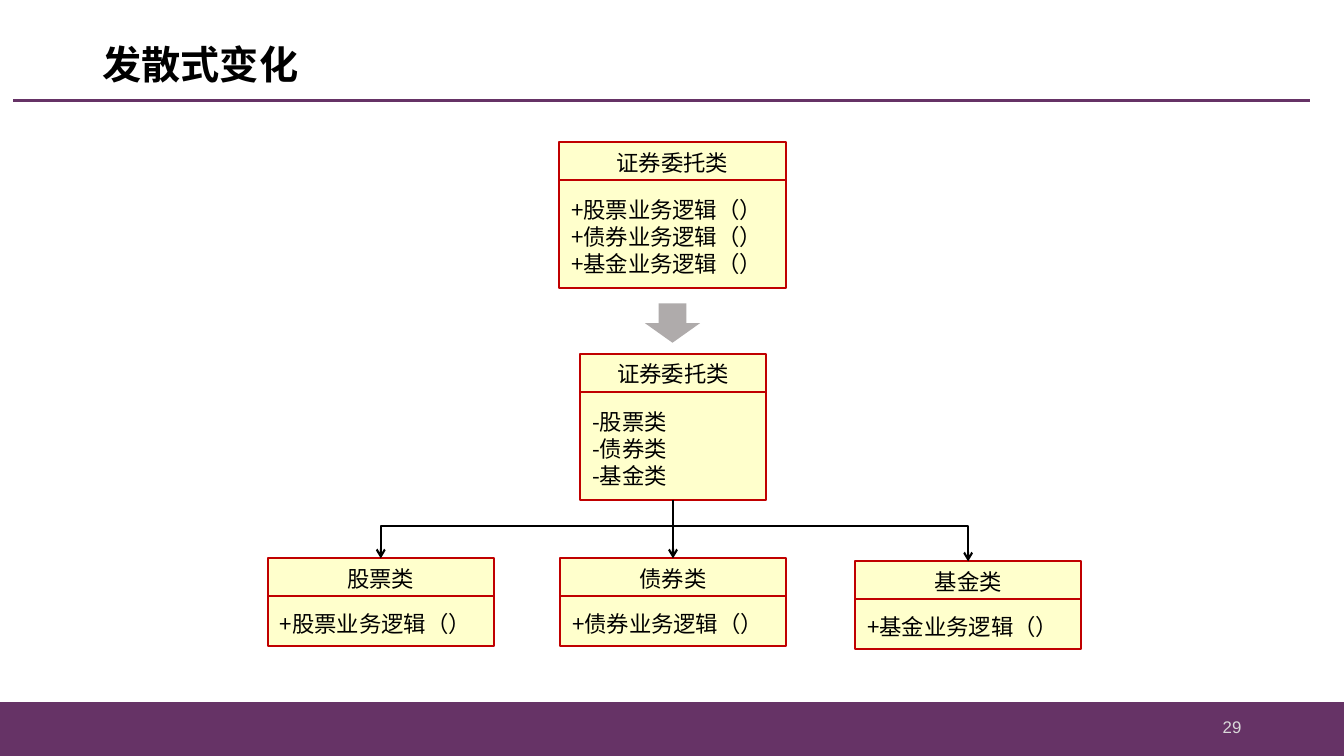
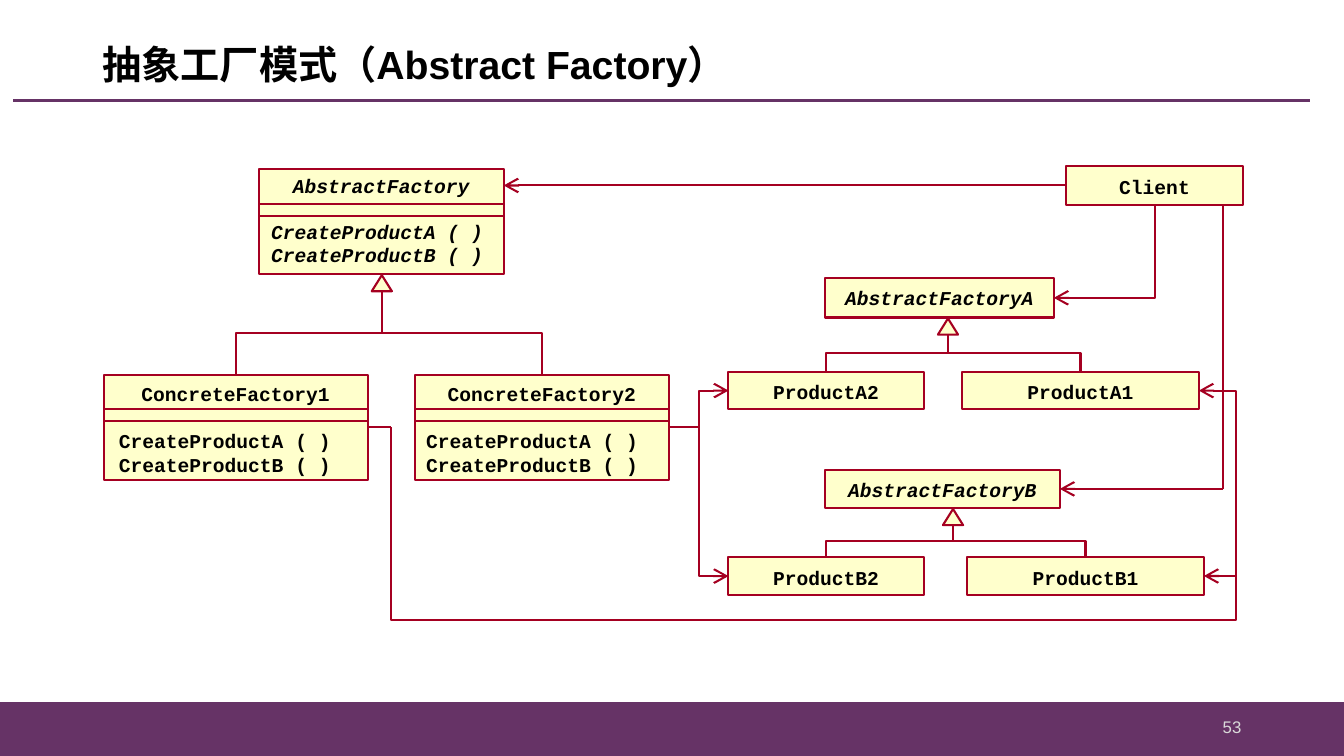
import pptx
import pptx.dml.color
import pptx.enum.shapes
import pptx.enum.text
import pptx.oxml
import pptx.oxml.ns
import pptx.util

RGBColor = pptx.dml.color.RGBColor
PURPLE = RGBColor(0x66, 0x33, 0x66)
CREAM = RGBColor(0xFF, 0xFF, 0xCC)
RED = RGBColor(0xC0, 0x00, 0x00)
CRIMSON = RGBColor(0xA5, 0x00, 0x21)
BLACK = RGBColor(0x00, 0x00, 0x00)
GREY = RGBColor(0xAF, 0xAB, 0xAB)
PALE = RGBColor(0xD9, 0xD9, 0xD9)

COLUMN = ROW = pptx.util.Inches(1)
COLUMNS, ROWS = 13.34, 7.5
KINDS = pptx.enum.shapes.MSO_SHAPE
CONNECTORS = pptx.enum.shapes.MSO_CONNECTOR
ALIGN = pptx.enum.text.PP_ALIGN
ANCHOR = pptx.enum.text.MSO_ANCHOR
TOP, LEFT, BOTTOM, RIGHT = range(4)
NAMESPACE = pptx.oxml.ns.nsdecls("a")

CHINESE = "Noto Sans CJK SC"
TITLE = {"name": "Arial", "size": pptx.util.Pt(28), "bold": True}
NUMBER = {"name": "Arial", "size": pptx.util.Pt(12)}
CARD = {"name": CHINESE, "size": pptx.util.Pt(16)}
CARD_SPACING = pptx.util.Pt(19.3)
CODE = {"name": "Courier New", "size": pptx.util.Pt(14), "bold": True}
INSETS = (0.1, 0.05, 0.1, 0.05)


def set_format(target, values):
    for name, value in values.items():
        setattr(target, name, value)


def place(left, top, width, height):
    return [round(left * COLUMN), round(top * ROW), round(width * COLUMN), round(height * ROW)]


def middle(shape, side):
    x = shape.left + shape.width * {LEFT: 0, RIGHT: 1}.get(side, 0.5)
    y = shape.top + shape.height * {TOP: 0, BOTTOM: 1}.get(side, 0.5)
    return x / COLUMN, y / ROW


def add_shape(page, kind, at, fill, line=None, weight=1.5):
    shape = page.shapes.add_shape(kind, *place(*at))
    shape.shadow.inherit = False
    shape.fill.solid()
    shape.fill.fore_color.rgb = fill
    if line is None:
        shape.line.fill.background()
    else:
        shape.line.color.rgb = line
        shape.line.width = pptx.util.Pt(weight)
    return shape


def write(shape, lines, font, align=ALIGN.LEFT, anchor=ANCHOR.MIDDLE, spacing=1.0,
          color=BLACK, insets=INSETS):
    frame = shape.text_frame
    sides = ("margin_left", "margin_top", "margin_right", "margin_bottom")
    set_format(frame, {side: pptx.util.Inches(inset) for side, inset in zip(sides, insets)})
    set_format(frame, {"word_wrap": True, "vertical_anchor": anchor})
    for index, line in enumerate(lines):
        para = frame.add_paragraph() if index else frame.paragraphs[0]
        set_format(para, {"alignment": align, "line_spacing": spacing})
        span = para.add_run()
        span.text = line
        set_format(span.font, font)
        span.font.color.rgb = color
        span.font._element.append(
            pptx.oxml.parse_xml(f'<a:ea {NAMESPACE} typeface="{CHINESE}"/>'))


def add_text(page, at, lines, font, **options):
    write(page.shapes.add_textbox(*place(*at)), lines, font, **options)


def finish_line(line, color, weight, head, tail):
    line.line.color.rgb = color
    line.line.width = pptx.util.Pt(weight)
    for tag, size in (("headEnd", head), ("tailEnd", tail)):
        if size:
            line.line._get_or_add_ln().append(pptx.oxml.parse_xml(
                f'<a:{tag} {NAMESPACE} type="arrow" w="{size}" len="{size}"/>'))
    line._element.spPr.append(pptx.oxml.parse_xml(f"<a:effectLst {NAMESPACE}/>"))


def add_line(page, start, end, color, weight=1.5, tail=None):
    ends = [middle(*point) if hasattr(point[0], "shape_id") else point for point in (start, end)]
    coordinates = [round(value * COLUMN) for point in ends for value in point]
    line = page.shapes.add_connector(CONNECTORS.STRAIGHT, *coordinates)
    for point, join in ((start, line.begin_connect), (end, line.end_connect)):
        if hasattr(point[0], "shape_id"):
            join(*point)
    finish_line(line, color, weight, None, tail)


def add_elbow(page, start, end, color, turns=(0.5,), vertical=True, head=None, tail=None):
    (x1, y1), (x2, y2) = start, end
    across, down = (y2 - y1, x1 - x2) if vertical else (x2 - x1, y2 - y1)
    x, y = (x1 + x2) / 2, (y1 + y2) / 2
    line = page.shapes.add_connector(
        CONNECTORS.ELBOW,
        *place(x - across / 2, y - down / 2, x + across / 2, y + down / 2))
    properties = line._element.spPr
    if vertical:
        properties.find(pptx.oxml.ns.qn("a:xfrm")).set("rot", str(90 * 60000))
    geometry = properties.find(pptx.oxml.ns.qn("a:prstGeom"))
    geometry.set("prst", f"bentConnector{len(turns) + 2}")
    guides = geometry.find(pptx.oxml.ns.qn("a:avLst"))
    for number, turn in enumerate(turns, 1):
        guides.append(pptx.oxml.parse_xml(
            f'<a:gd {NAMESPACE} name="adj{number}" fmla="val {round(turn * 100000)}"/>'))
    finish_line(line, color, 1.5, head, tail)


def start_page(deck, title, number):
    page = deck.slides.add_slide(deck.slide_layouts[6])
    add_shape(page, KINDS.RECTANGLE, (0, 6.97, COLUMNS, ROWS - 6.97), PURPLE, PURPLE, 1)
    add_line(page, (0.13, 1), (13, 1), PURPLE, 2.25)
    add_text(page, (0.92, 0.3, 11.5, 0.73), [title], TITLE, spacing=0.9)
    add_text(page, (9.42, 7.01, 3, 0.4), [number], NUMBER, align=ALIGN.RIGHT, color=PALE)
    return page


def add_card(page, at, name, members):
    left, top, width, height = at
    header = 0.375
    box = add_shape(page, KINDS.RECTANGLE, at, CREAM, RED)
    add_line(page, (left, top + header), (left + width, top + header), RED)
    add_text(page, (left, top, width, 0.4), [name], CARD, align=ALIGN.CENTER,
             spacing=CARD_SPACING)
    add_text(page, (left + 0.02, top + 0.41, width, height - 0.4), members, CARD,
             spacing=CARD_SPACING)
    return box


def add_class(page, at, name, abstract=False, anchor=ANCHOR.MIDDLE, spacing=1.1):
    box = add_shape(page, KINDS.RECTANGLE, at, CREAM, CRIMSON)
    write(box, [name], {**CODE, "italic": abstract}, align=ALIGN.CENTER, anchor=anchor,
          spacing=spacing)
    return box


def add_factory(page, at, name, indent, drop, abstract=False, spacing=1.1):
    left, top, width, height = at
    box = add_class(page, at, name, abstract, ANCHOR.TOP, spacing)
    for level in (top + 0.34, top + 0.46):
        add_line(page, (left, level), (left + width, level), CRIMSON)
    add_text(page, (left + indent, top + drop, width - indent, 0.46),
             ["CreateProductA ( )", "CreateProductB ( )"], {**CODE, "italic": abstract},
             anchor=ANCHOR.TOP, insets=(0, 0.01, 0, 0.05))
    return box


def add_inheritance(page, parent, center, children):
    top = middle(parent, BOTTOM)[1] + 0.01
    add_shape(page, KINDS.ISOSCELES_TRIANGLE, (center - 0.1, top, 0.2, 0.16), CREAM, CRIMSON)
    for child in children:
        add_elbow(page, (center, top + 0.16), middle(child, TOP), CRIMSON)


def build_divergent_change(deck):
    page = start_page(deck, "发散式变化", "29")
    add_card(page, (5.55, 1.41, 2.25, 1.45), "证券委托类",
             ["+股票业务逻辑（）", "+债券业务逻辑（）", "+基金业务逻辑（）"])
    add_shape(page, KINDS.DOWN_ARROW, (6.4, 3.01, 0.55, 0.39), GREY)
    order = add_card(page, (5.76, 3.51, 1.84, 1.45), "证券委托类",
                     ["-股票类", "-债券类", "-基金类"])
    stock, bond, fund = [
        add_card(page, (left, top, 2.24, 0.87), f"{kind}类", [f"+{kind}业务逻辑（）"])
        for kind, left, top in (("股票", 2.66, 5.54), ("债券", 5.56, 5.54), ("基金", 8.49, 5.57))]
    start, end = middle(stock, TOP), middle(fund, TOP)
    add_elbow(page, start, end, BLACK, [(5.22 - start[1]) / (end[1] - start[1])],
              head="med", tail="med")
    add_line(page, (order, BOTTOM), (bond, TOP), BLACK, tail="med")


def build_abstract_factory(deck):
    page = start_page(deck, "抽象工厂模式（Abstract Factory）", "53")
    factory = add_factory(page, (2.57, 1.68, 2.43, 1.04), "AbstractFactory", 0.12, 0.49,
                          abstract=True, spacing=1.0)
    factory1 = add_factory(page, (1.03, 3.72, 2.62, 1.04), "ConcreteFactory1", 0.15, 0.53)
    factory2 = add_factory(page, (4.12, 3.72, 2.52, 1.04), "ConcreteFactory2", 0.11, 0.53)
    abstract_a = add_class(page, (8.19, 2.76, 2.27, 0.39), "AbstractFactoryA", True, spacing=1.0)
    abstract_b = add_class(page, (8.19, 4.66, 2.33, 0.38), "AbstractFactoryB", True)
    product_a2 = add_class(page, (7.23, 3.69, 1.94, 0.37), "ProductA2")
    product_a1 = add_class(page, (9.55, 3.69, 2.35, 0.37), "ProductA1")
    product_b2 = add_class(page, (7.23, 5.53, 1.94, 0.37), "ProductB2")
    product_b1 = add_class(page, (9.6, 5.53, 2.35, 0.37), "ProductB1")
    client = add_class(page, (10.58, 1.65, 1.76, 0.38), "Client")

    add_inheritance(page, factory, 3.79, (factory1, factory2))
    add_inheritance(page, abstract_a, 9.41, (product_a2, product_a1))
    add_inheritance(page, abstract_b, 9.46, (product_b2, product_b1))

    client_lane, client_bottom = 12.14, middle(client, BOTTOM)[1]
    level_b = middle(abstract_b, RIGHT)[1]
    add_line(page, (client, LEFT), (5, middle(client, LEFT)[1]), CRIMSON, tail="lg")
    add_elbow(page, middle(client, BOTTOM), middle(abstract_a, RIGHT), CRIMSON, (), tail="lg")
    add_line(page, (client_lane, client_bottom), (client_lane, level_b), CRIMSON)
    add_line(page, (client_lane, level_b), (abstract_b, RIGHT), CRIMSON, tail="lg")

    for product in (product_a2, product_b2):
        add_elbow(page, middle(factory2, RIGHT), middle(product, LEFT), CRIMSON,
                  vertical=False, tail="lg")

    lane, right_lane, base, lower_lane = 3.88, 12.27, 6.14, 6.15
    level = middle(factory1, RIGHT)[1]
    end_x, end_y = middle(product_b1, RIGHT)
    add_line(page, (factory1, RIGHT), (lane, level), CRIMSON)
    add_line(page, (lane, level), (lane, base), CRIMSON)
    turns = (lower_lane - base) / (end_y - base), (right_lane - lane) / (end_x - lane)
    add_elbow(page, (lane, base), (end_x, end_y), CRIMSON, turns, tail="lg")
    add_elbow(page, (right_lane, end_y), middle(product_a1, RIGHT), CRIMSON, (), tail="lg")


def main():
    deck = pptx.Presentation()
    set_format(deck, {"slide_width": round(COLUMNS * COLUMN), "slide_height": round(ROWS * ROW)})
    build_divergent_change(deck)
    build_abstract_factory(deck)
    deck.save("out.pptx")


if __name__ == "__main__":
    main()
